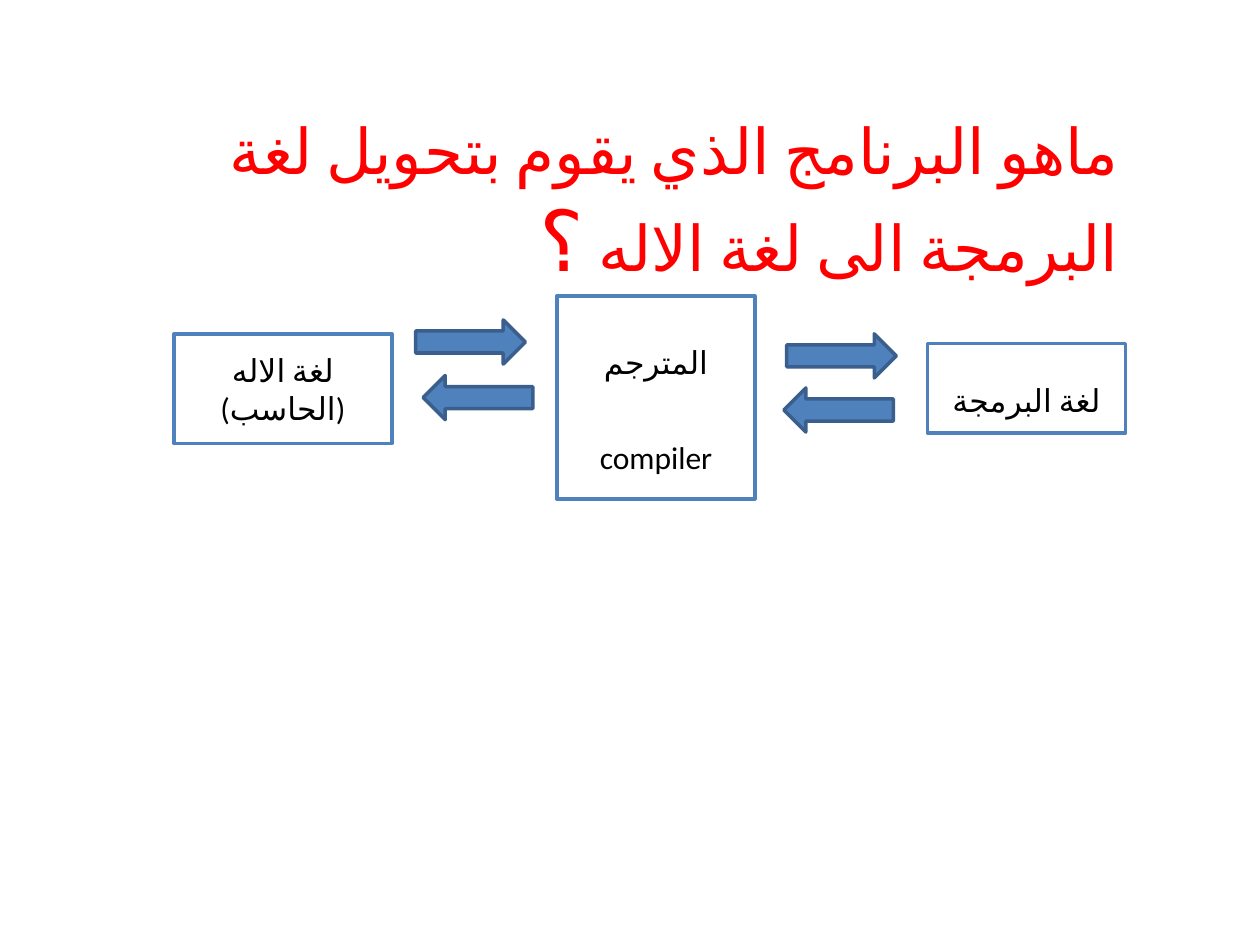
from lxml import etree
from pptx import Presentation
from pptx.dml.color import RGBColor
from pptx.enum import lang, shapes, text
from pptx.oxml import ns
from pptx.util import Cm, Pt

WHITE = RGBColor(0xFF, 0xFF, 0xFF)
BLACK = RGBColor(0, 0, 0)
RED = RGBColor(0xFF, 0, 0)
BLUE = RGBColor(0x4F, 0x81, 0xBD)
DARK_BLUE = RGBColor(0x3A, 0x5F, 0x8C)
FONT = "Calibri"

# Content: lengths in centimetres
QUESTION = [("ماهو البرنامج الذي يقوم بتحويل لغة البرمجة الى لغة الاله ", 36), ("؟", 48)]
QUESTION_AREA = (4.01, 2.13, 18.8, 3.84)
BOXES = [  # paragraphs, area, top inset
    (["لغة البرمجة"], (18.7, 6.93, 3.99, 1.8), 0.6),
    (["لغة الاله (الحاسب)"], (3.51, 6.73, 4.39, 2.21), 0.13),
    (["المترجم", "compiler"], (11.23, 5.97, 3.99, 4.09), 0.6),
]
ARROW_SIZE = (2.21, 0.89)
ARROWS = [  # left, top, rotation
    (15.8, 7.82, 180), (8.53, 7.57, 180), (8.38, 6.45, 0), (15.86, 6.73, 0),
]


def add_span(para, words, size, color):
    span = para.add_run()
    span.text = words
    language = lang.MSO_LANGUAGE_ID.ENGLISH_US if words.isascii() else lang.MSO_LANGUAGE_ID.ARABIC
    span_format = {"name": FONT, "size": Pt(size), "bold": False, "language_id": language}
    for name, value in span_format.items():
        setattr(span.font, name, value)
    span.font.color.rgb = color
    # Typeface for right-to-left script
    etree.SubElement(span._r.get_or_add_rPr(), ns.qn("a:cs"), typeface=FONT)


def set_direction(para, alignment):
    para.alignment = alignment
    para._p.get_or_add_pPr().set("rtl", "1")


def add_part(kind, area, fill, line):
    part = page.shapes.add_shape(kind, *map(Cm, area))
    part.shadow.inherit = False
    part.fill.solid()
    part.fill.fore_color.rgb = fill
    part.line.color.rgb = line
    part.line.width = Pt(2)
    return part


deck = Presentation()
deck.slide_width, deck.slide_height = Cm(25.4), Cm(19.05)
page = deck.slides.add_slide(deck.slide_layouts[5])

# Question in the title placeholder
title = page.shapes.title
for name, value in zip(("left", "top", "width", "height"), QUESTION_AREA):
    setattr(title, name, Cm(value))
frame_format = {"word_wrap": True, "auto_size": text.MSO_AUTO_SIZE.NONE,
                "vertical_anchor": text.MSO_ANCHOR.TOP}
for name, value in frame_format.items():
    setattr(title.text_frame, name, value)
question = title.text_frame.paragraphs[0]
set_direction(question, text.PP_ALIGN.RIGHT)
for words, size in QUESTION:
    add_span(question, words, size, RED)

# Language and compiler boxes
for lines, area, inset in BOXES:
    frame = add_part(shapes.MSO_SHAPE.RECTANGLE, area, WHITE, BLUE).text_frame
    box_format = {"word_wrap": True, "vertical_anchor": text.MSO_ANCHOR.MIDDLE,
                  "margin_top": Cm(inset)}
    for name, value in box_format.items():
        setattr(frame, name, value)
    for index, words in enumerate(lines):
        para = frame.add_paragraph() if index else frame.paragraphs[0]
        set_direction(para, text.PP_ALIGN.CENTER)
        para.space_before = Pt(33 if index else 0)
        add_span(para, words, 18, BLACK)

# Arrows in both directions
for left, top, rotation in ARROWS:
    arrow = add_part(shapes.MSO_SHAPE.RIGHT_ARROW, (left, top, *ARROW_SIZE), BLUE, DARK_BLUE)
    arrow.rotation = rotation

deck.save("out.pptx")
